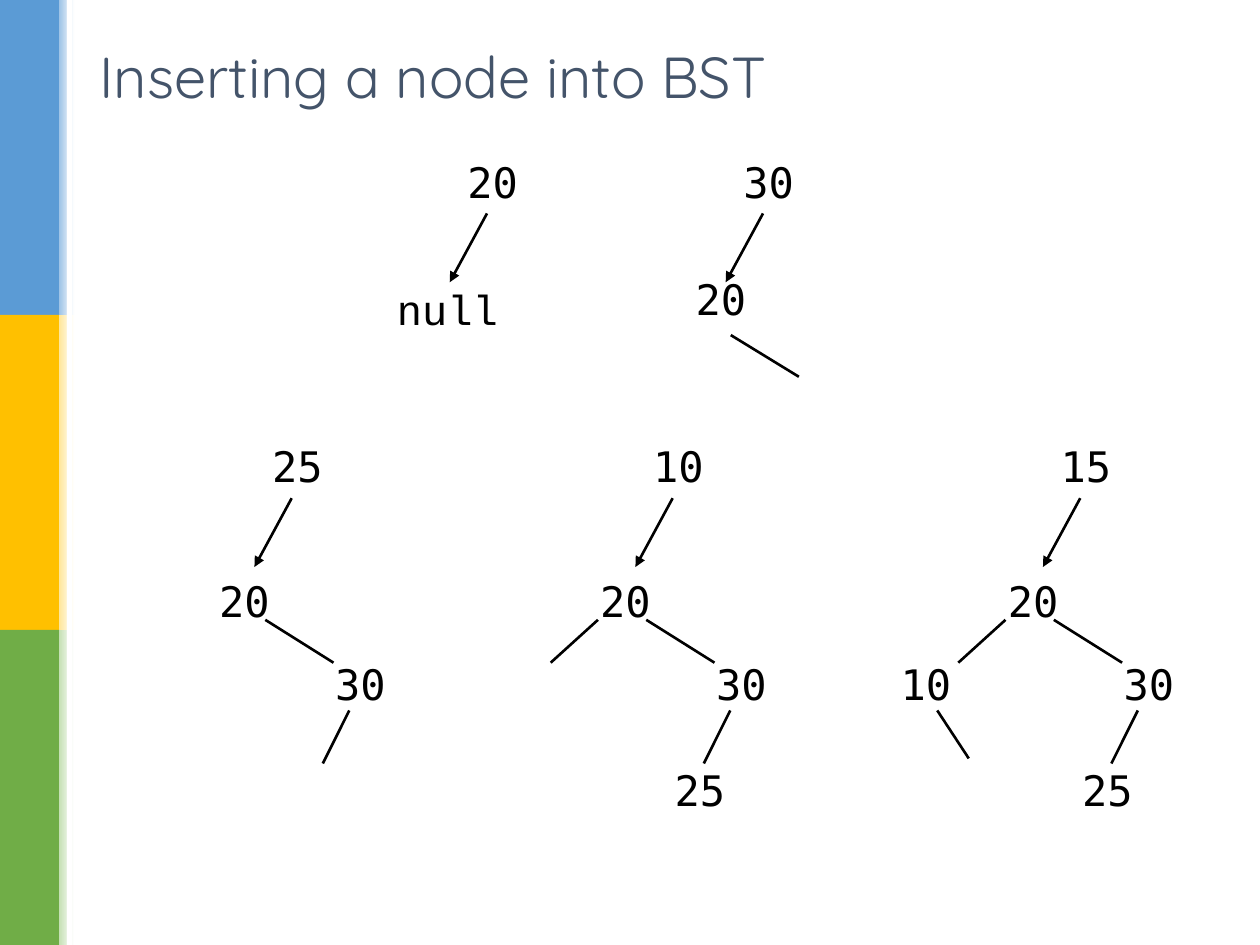
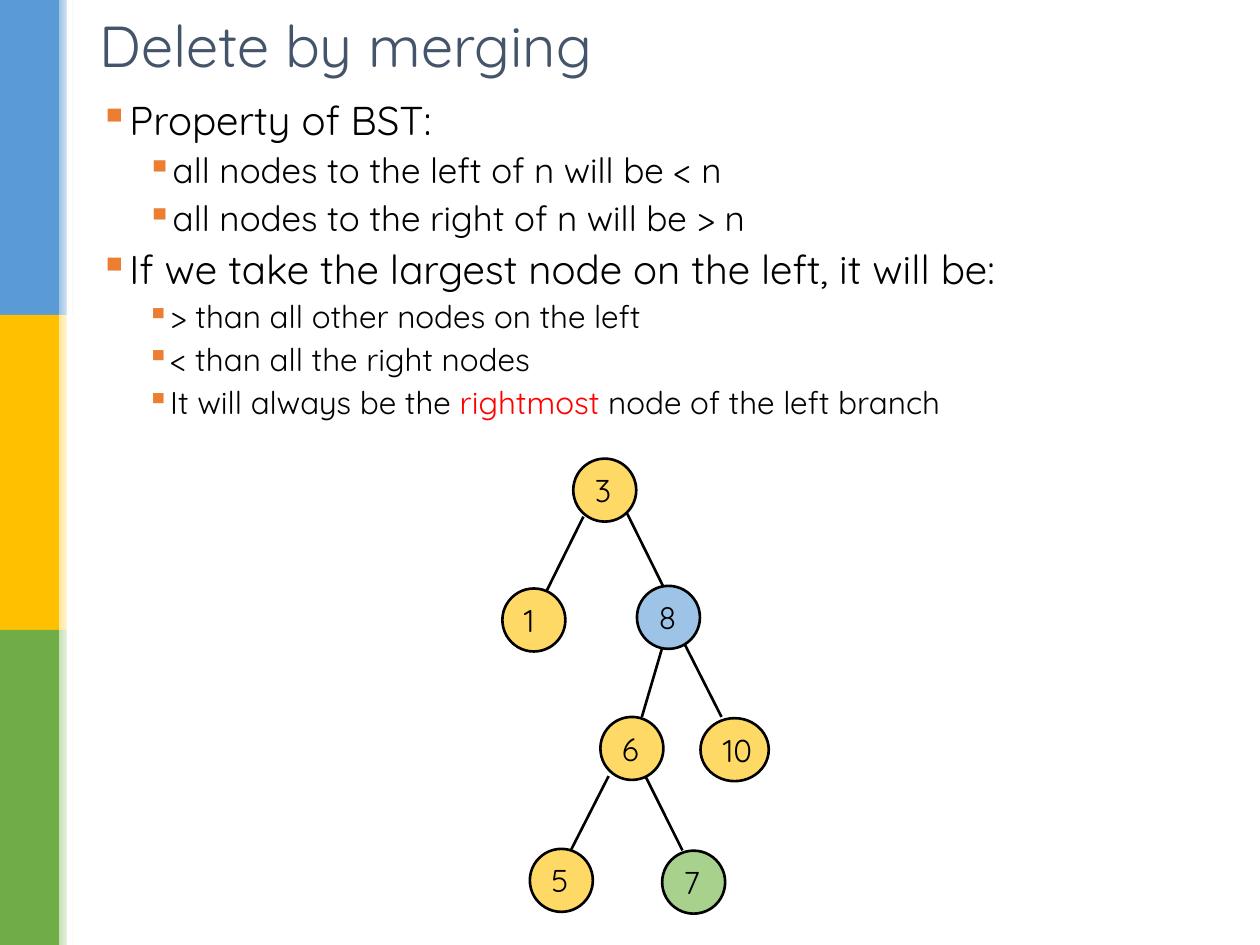
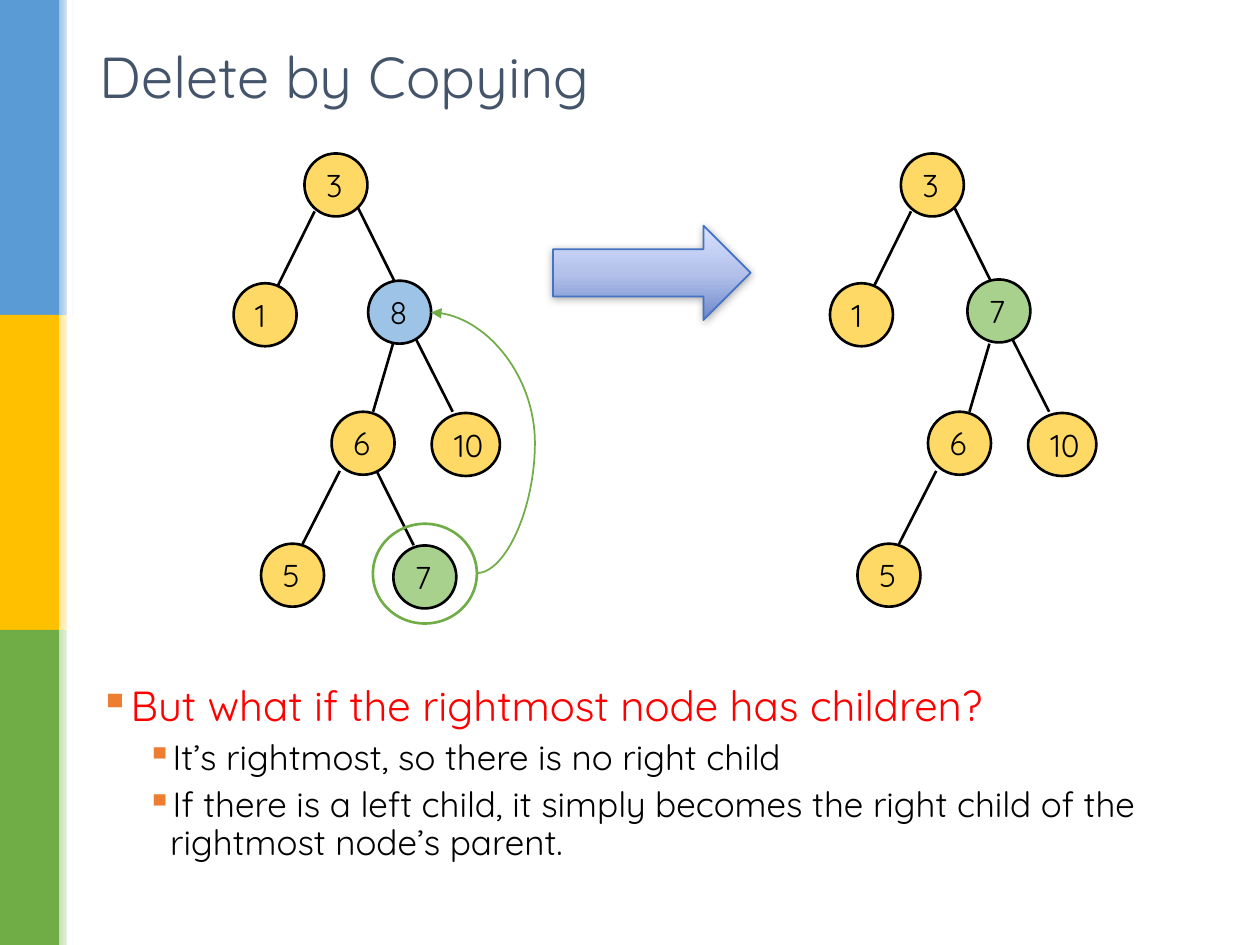
from copy import deepcopy

from lxml.etree import SubElement
from pptx import Presentation
from pptx.dml.color import RGBColor
from pptx.enum.shapes import MSO_CONNECTOR, MSO_SHAPE
from pptx.enum.text import MSO_ANCHOR, PP_ALIGN
from pptx.oxml.ns import qn
from pptx.util import Pt

BLACK = RGBColor(0x00, 0x00, 0x00)
WHITE = RGBColor(0xFF, 0xFF, 0xFF)
RED = RGBColor(0xFF, 0x00, 0x00)
SLATE = RGBColor(0x44, 0x54, 0x6A)
BLUE = RGBColor(0x5B, 0x9B, 0xD5)
YELLOW = RGBColor(0xFF, 0xC0, 0x00)
GREEN = RGBColor(0x70, 0xAD, 0x47)
PALE_BLUE = RGBColor(0x9D, 0xC3, 0xE6)
PALE_YELLOW = RGBColor(0xFF, 0xE6, 0x99)
PALE_GREEN = RGBColor(0xC5, 0xE0, 0xB4)
NODE_YELLOW = RGBColor(0xFF, 0xD9, 0x66)
NODE_GREEN = RGBColor(0xA9, 0xD1, 0x8E)
ARROW_LINE = RGBColor(0x44, 0x72, 0xC4)
ARROW_STOPS = [RGBColor(0x6D, 0x89, 0xCB), RGBColor(0xB2, 0xC0, 0xEA), RGBColor(0xD8, 0xE1, 0xFE)]
BULLET_COLOR = "ED7D31"
BODY_FONT = "Quicksand"
MONO_FONT = "DejaVu Sans Mono"


def add_text(slide, text, left, top, width, height, font, size, color=BLACK):
    """Add a text box and return its text frame."""
    frame = slide.shapes.add_textbox(Pt(left), Pt(top), Pt(width), Pt(height)).text_frame
    frame.word_wrap = True
    paragraph = frame.paragraphs[0]
    paragraph.text = text
    paragraph.font.name = font
    paragraph.font.size = Pt(size)
    paragraph.font.color.rgb = color
    return frame


def add_line(slide, start, end, color=BLACK, width=1.5, arrow=False, kind=MSO_CONNECTOR.STRAIGHT):
    line = slide.shapes.add_connector(kind, Pt(start[0]), Pt(start[1]), Pt(end[0]), Pt(end[1]))
    line.line.color.rgb = color
    line.line.width = Pt(width)
    if arrow:
        SubElement(line.line._get_or_add_ln(), qn("a:tailEnd"), type="triangle")
    SubElement(line._element.spPr, qn("a:effectLst"))
    return line


prs = Presentation()
prs.slide_width, prs.slide_height = Pt(720), Pt(540)

# Side bands and titles
slides = []
for title, title_top in [
    ("Inserting a node into BST", 18.7),
    ("Delete by merging", 0.7),
    ("Delete by Copying", 18.7),
]:
    slide = prs.slides.add_slide(prs.slide_layouts[6])
    slides.append(slide)
    for row, (band_color, fade_color) in enumerate(
        [(BLUE, PALE_BLUE), (YELLOW, PALE_YELLOW), (GREEN, PALE_GREEN)]
    ):
        band = slide.shapes.add_shape(MSO_SHAPE.RECTANGLE, 0, Pt(180 * row), Pt(33.8), Pt(180))
        band.fill.solid()
        band.fill.fore_color.rgb = band_color
        fade = slide.shapes.add_shape(MSO_SHAPE.RECTANGLE, Pt(33.8), Pt(180 * row), Pt(8.6), Pt(180))
        fade.fill.gradient()
        fade.fill.gradient_angle = 0
        for stop, color in zip(fade.fill.gradient_stops, (fade_color, WHITE)):
            stop.color.rgb = color
        for strip in (band, fade):
            strip.line.fill.background()
            strip.shadow.inherit = False
    gap = slide.shapes.add_shape(MSO_SHAPE.RECTANGLE, Pt(38.2), 0, Pt(2.9), Pt(540))
    gap.fill.solid()
    gap.fill.fore_color.rgb = WHITE
    gap.line.fill.background()
    gap.shadow.inherit = False
    title_frame = add_text(slide, title, 49.7, title_top, 620.6, 49, BODY_FONT, 33, SLATE)
    title_frame.vertical_anchor = MSO_ANCHOR.MIDDLE

insert_slide, merge_slide, copy_slide = slides

# Insertion steps: each new value points at the tree it enters
labels = [("null", 211.7, 158.4, 87.8, "Courier New"), ("20", 387.4, 158.4, 49, MONO_FONT)]
edges = [((417.6, 191.5), (456.5, 215.3))]
new_values = [("20", 257, 85.7), ("30", 414.7, 85.7)]

# Values and branches in the order the tree grows, relative to its root
grown_values = [("20", 0, 0), ("30", 66.2, 47.5), ("25", 42.5, 108), ("10", -61.2, 47.5)]
grown_edges = [
    ((36.4, 28.8), (75.4, 53.3)),
    ((84.4, 80.6), (69.3, 110.9)),
    ((8.8, 28.8), (-18.2, 53.3)),
    ((-30.2, 80.6), (-12.2, 108)),
]
ROOT_TOP = 325.4
for new_value, root_left, grown in [("25", 115.2, 2), ("10", 332.9, 3), ("15", 565.8, 4)]:
    new_values.append((new_value, root_left + 30.2, ROOT_TOP - 77))
    for value, dx, dy in grown_values[:grown]:
        labels.append((value, root_left + dx, ROOT_TOP + dy, 49, MONO_FONT))
    for (x1, y1), (x2, y2) in grown_edges[:grown]:
        edges.append(((root_left + x1, ROOT_TOP + y1), (root_left + x2, ROOT_TOP + y2)))

for value, left, top in new_values:
    labels.append((value, left, top, 49, MONO_FONT))
    add_line(insert_slide, (left + 21.3, top + 36.3), (left, top + 75.6), arrow=True)
for start, end in edges:
    add_line(insert_slide, start, end)
for value, left, top, width, font in labels:
    label = add_text(insert_slide, value, left, top, width, 32.4, font, 24).paragraphs[0]
    label.alignment = PP_ALIGN.CENTER
    if (left, top) == (387.4, 158.4):
        label.line_spacing = 0.8

# Bulleted text: level, size, then runs of text and colour
merge_points = [
    (0, 23, [("Property of BST:", BLACK)]),
    (1, 20, [("all nodes to the left of n will be < n", BLACK)]),
    (1, 20, [("all nodes to the right of n will be > n", BLACK)]),
    (0, 23, [("If we take the largest node on the left, it will be:", BLACK)]),
    (1, 18, [("> than all other nodes on the left", BLACK)]),
    (1, 18, [("< than all the right nodes", BLACK)]),
    (1, 18, [("It will always be the ", BLACK), ("rightmost", RED), (" node of the left branch", BLACK)]),
]
copy_points = [
    (0, 24, [("But what if the rightmost node has children?", RED)]),
    (1, 20, [("It’s rightmost, so there is no right child", BLACK)]),
    (1, 20, [("If there is a left child, it simply becomes the right child of the "
              "rightmost node’s parent.", BLACK)]),
]
for slide, top, height, points in [
    (merge_slide, 54, 208, merge_points),
    (copy_slide, 388, 124.6, copy_points),
]:
    frame = add_text(slide, "", 49.7, top, 648, height, BODY_FONT, 20)
    for number, (level, size, runs) in enumerate(points):
        point = frame.add_paragraph() if number else frame.paragraphs[0]
        point.level = level
        point.line_spacing = 0.9
        point.space_before = Pt(round(size * 0.27, 1))
        point.font.name = BODY_FONT
        point.font.size = Pt(size)
        for text, color in runs:
            run = point.add_run()
            run.text = text
            run.font.color.rgb = color
        properties = point._p.get_or_add_pPr()
        properties.set("marL", str(Pt(13.5 + 27 * level)))
        properties.set("indent", str(Pt(-13.5)))
        bullet_color = properties.makeelement(qn("a:buClr"), {})
        SubElement(bullet_color, qn("a:srgbClr"), val=BULLET_COLOR)
        bullet = properties.makeelement(qn("a:buChar"), {"char": "▪"})
        properties.find(qn("a:spcBef")).addnext(bullet_color)
        bullet_color.addnext(bullet)

# Trees of round nodes, placed relative to the root
tree_edges = [
    ((5.8, 33.1), (-15.1, 75.3)),
    ((30.2, 30.2), (51.1, 72.4)),
    ((63.4, 105.5), (84.7, 147.6)),
    ((50.6, 108.7), (39.2, 147.6)),
    ((20.2, 181.4), (-1.1, 223.2)),
    ((41.2, 181.4), (62.4, 223.9)),
]
shared_nodes = [
    ("3", 0, 0, NODE_YELLOW),
    ("1", -40.5, 74.2, NODE_YELLOW),
    ("6", 15.5, 147.6, NODE_YELLOW),
    ("10", 72.7, 148.3, NODE_YELLOW),
    ("5", -24.8, 223, NODE_YELLOW),
]
before_nodes = shared_nodes + [("8", 36.4, 72.7, PALE_BLUE), ("7", 50.8, 224, NODE_GREEN)]
after_nodes = shared_nodes + [("7", 38, 72, NODE_GREEN)]
for slide, root_left, root_top, nodes, branches in [
    (merge_slide, 327.6, 262.1, before_nodes, tree_edges),
    (copy_slide, 174, 87.7, before_nodes, tree_edges),
    (copy_slide, 514.8, 87.7, after_nodes, tree_edges[:5]),
]:
    for (x1, y1), (x2, y2) in branches:
        add_line(slide, (root_left + x1, root_top + y1), (root_left + x2, root_top + y2))
    for value, dx, dy, color in nodes:
        width = 39 if value == "10" else 36
        node = slide.shapes.add_shape(
            MSO_SHAPE.OVAL, Pt(root_left + dx), Pt(root_top + dy), Pt(width), Pt(36)
        )
        node.shadow.inherit = False
        node.fill.solid()
        node.fill.fore_color.rgb = color
        node.line.color.rgb = BLACK
        node.line.width = Pt(1.5)
        node.text_frame.word_wrap = False
        node.text_frame.vertical_anchor = MSO_ANCHOR.MIDDLE
        key = node.text_frame.paragraphs[0]
        key.text = value
        key.alignment = PP_ALIGN.LEFT
        key.font.name = BODY_FONT
        key.font.size = Pt(18)
        key.font.color.rgb = BLACK

# Ring around the rightmost node, and the curve that carries its key up
ring = copy_slide.shapes.add_shape(MSO_SHAPE.OVAL, Pt(213.1), Pt(299.3), Pt(59.4), Pt(57))
ring.shadow.inherit = False
ring.fill.background()
ring.line.color.rgb = GREEN
ring.line.width = Pt(1.5)
copy_curve = add_line(copy_slide, (272.3, 327.6), (246.4, 178.6), GREEN, 1, True, MSO_CONNECTOR.CURVE)
adjustments = copy_curve._element.spPr.find(qn("a:prstGeom")).get_or_add_avLst()
SubElement(adjustments, qn("a:gd"), name="adj1", fmla="val -129100")

# Large arrow from the first tree to the second
step_arrow = copy_slide.shapes.add_shape(MSO_SHAPE.RIGHT_ARROW, Pt(316), Pt(128.9), Pt(113), Pt(54))
step_arrow.line.color.rgb = ARROW_LINE
step_arrow.line.width = Pt(1)
step_arrow.fill.gradient()
step_arrow.fill.gradient_angle = 90
first_stop = step_arrow.fill.gradient_stops[0]._gs
first_stop.addnext(deepcopy(first_stop))
for stop, position, color in zip(step_arrow.fill.gradient_stops, (0, 0.48, 1), ARROW_STOPS):
    stop.position = position
    stop.color.rgb = color
effects = SubElement(step_arrow._element.spPr, qn("a:effectLst"))
shadow = SubElement(effects, qn("a:outerShdw"), blurRad=str(Pt(5)), dist=str(Pt(1)), dir="5400000")
shadow_color = SubElement(shadow, qn("a:srgbClr"), val=str(BLACK))
SubElement(shadow_color, qn("a:alpha"), val="32000")

prs.save("out.pptx")
